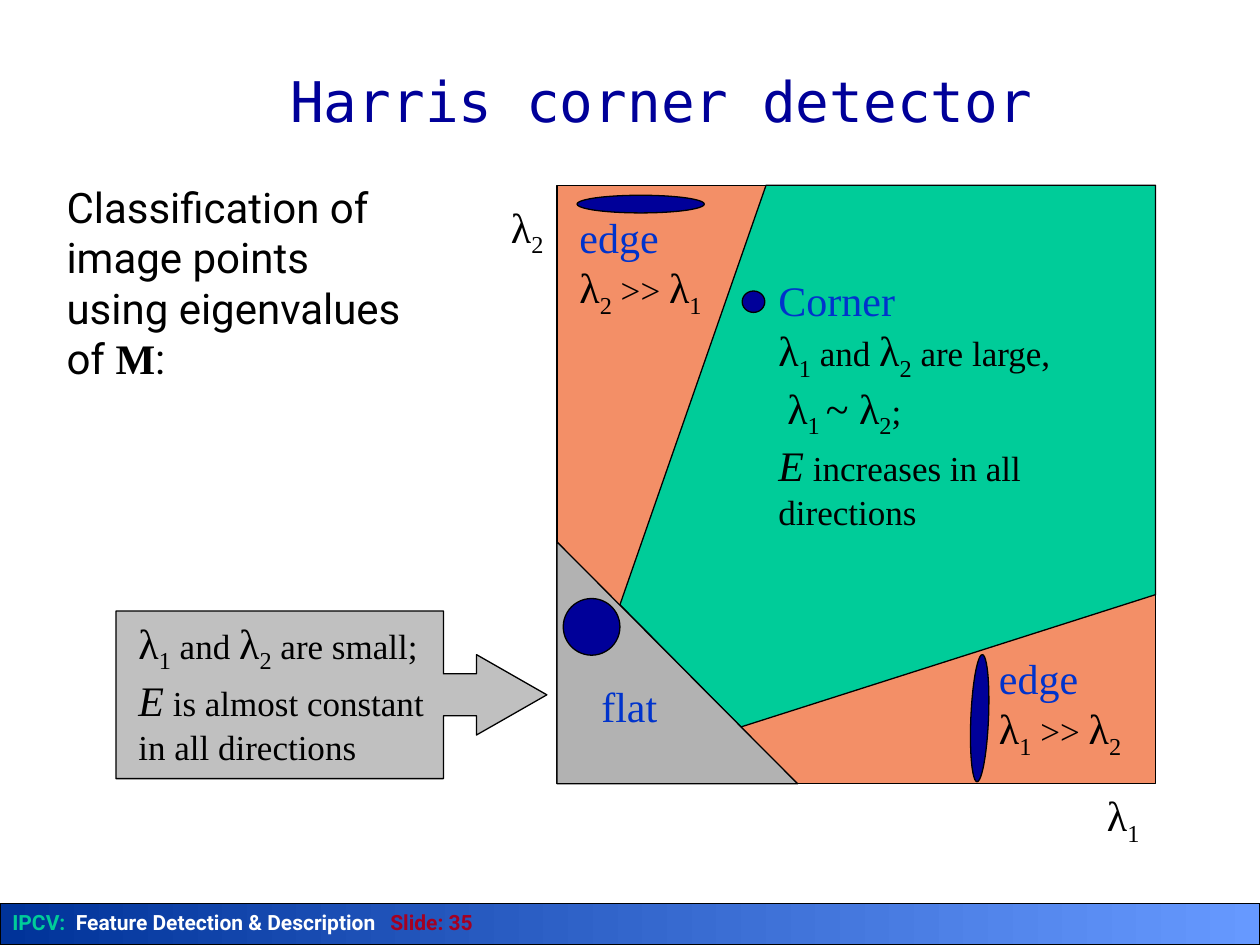
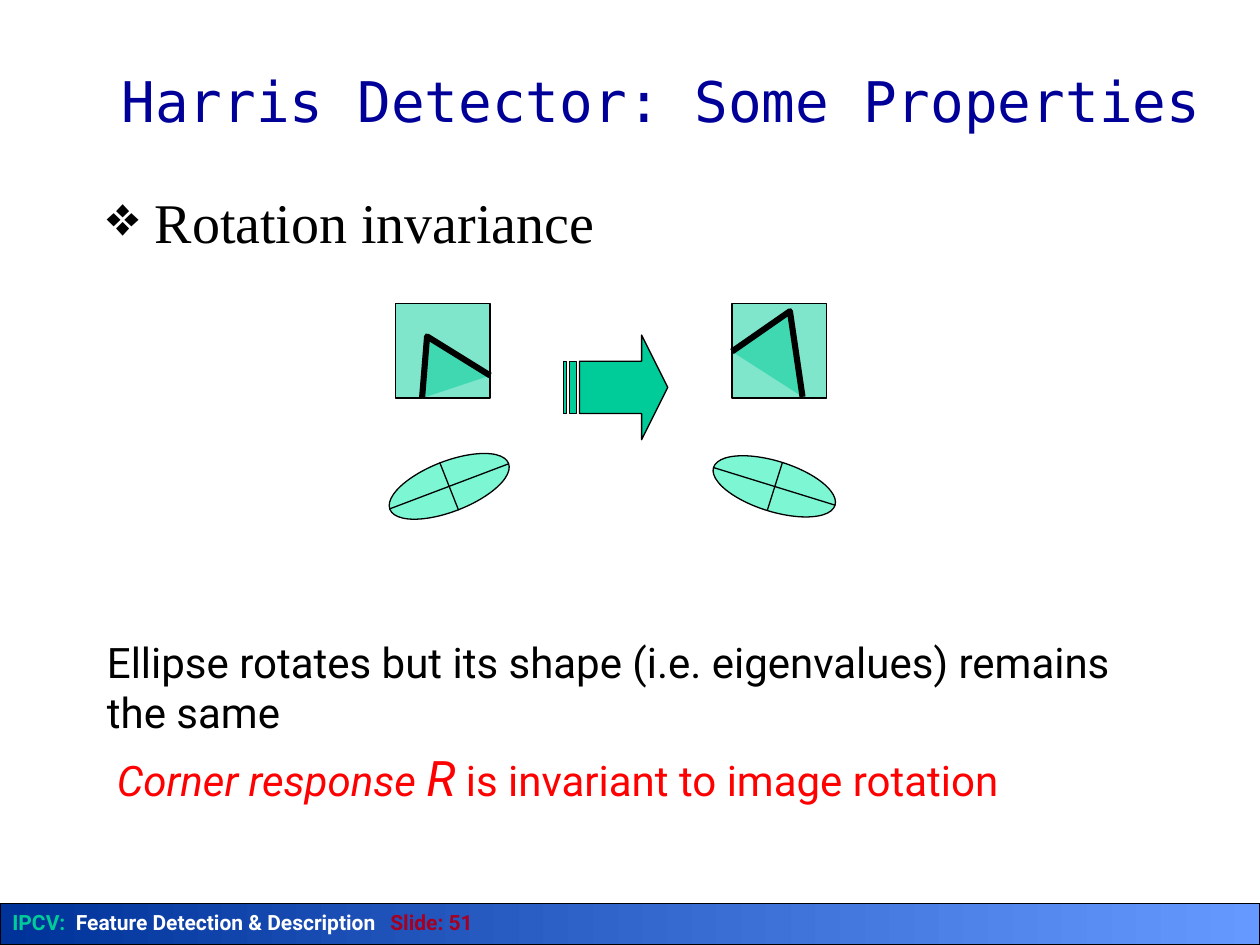
"""Build two slides on the Harris corner detector."""
from lxml.etree import SubElement
from pptx import Presentation
from pptx.dml.color import RGBColor
from pptx.enum.shapes import MSO_CONNECTOR, MSO_SHAPE
from pptx.enum.text import MSO_ANCHOR, PP_ALIGN
from pptx.oxml.ns import qn
from pptx.util import Inches, Pt

COLORS = {
    "black": "000000", "white": "FFFFFF", "navy": "000099", "blue": "0033CC",
    "green": "00CC99", "mint": "7CF6D3", "orange": "F38F67", "silver": "C0C0C0",
    "gray": "B2B2B2", "red": "FF0000", "dark red": "A50021",
    "band start": "003399", "band end": "6699FF",
}
SERIF, SANS, MONO = "Times New Roman", "Roboto", "DejaVu Sans Mono"
BREAK = ("\n", {})
SMALL = {"size": 20}
LAMBDA_1 = [("λ", {}), ("1", {"subscript": True})]
LAMBDA_2 = [("λ", {}), ("2", {"subscript": True})]


def write(shape, paragraphs, align=PP_ALIGN.LEFT, anchor=MSO_ANCHOR.TOP, **base):
    """Fill a shape with paragraphs of (text, format) runs."""
    frame = shape.text_frame
    frame.word_wrap = True
    frame.vertical_anchor = anchor
    for index, runs in enumerate(paragraphs):
        paragraph = frame.add_paragraph() if index else frame.paragraphs[0]
        paragraph.alignment = align
        for text, changes in runs:
            if text == "\n":
                paragraph.add_line_break()
                continue
            style = {"font": SERIF, "size": 24, "color": "black", **base, **changes}
            run = paragraph.add_run()
            run.text = text
            run.font.name = style["font"]
            run.font.size = Pt(style["size"])
            run.font.bold = style.get("bold", False)
            run.font.italic = style.get("italic", False)
            run.font.color.rgb = RGBColor.from_string(COLORS[style["color"]])
            if style.get("subscript"):
                run._r.get_or_add_rPr().set("baseline", "-25000")


def paint(shape, fill, width=0.75, alpha=None):
    """Give a shape a solid fill and a black outline."""
    shape.shadow.inherit = False
    shape.fill.solid()
    shape.fill.fore_color.rgb = RGBColor.from_string(COLORS[fill])
    shape.line.color.rgb = RGBColor.from_string(COLORS["black"])
    shape.line.width = Pt(width)
    if alpha:
        color = shape.fill._xPr.find(qn("a:solidFill")).find(qn("a:srgbClr"))
        SubElement(color, qn("a:alpha")).set("val", str(alpha * 1000))


presentation = Presentation()
presentation.slide_width = Inches(10)
presentation.slide_height = Inches(7.5)

slides = []
for title, number in [("Harris corner detector", 35), ("Harris Detector: Some Properties", 51)]:
    slide = presentation.slides.add_slide(presentation.slide_layouts[6])
    slides.append(slide)
    band = slide.shapes.add_shape(MSO_SHAPE.RECTANGLE, 0, Inches(7.17), Inches(10), Inches(0.33))
    paint(band, "band start")
    band.fill.gradient()
    band.fill.gradient_angle = 0
    for stop, position, color in zip(band.fill.gradient_stops, (0, 1), ("band start", "band end")):
        stop.position = position
        stop.color.rgb = RGBColor.from_string(COLORS[color])
    write(band, [[
        ("IPCV: ", {"color": "green"}),
        (" Feature Detection & Description\t", {"color": "white"}),
        (f"Slide: {number}", {"color": "dark red"}),
    ]], font=SANS, size=12, bold=True)
    title_box = slide.shapes.add_textbox(Inches(0.75), Inches(0.17), Inches(9), Inches(1.25))
    write(title_box, [[(title, {})]], align=PP_ALIGN.CENTER, anchor=MSO_ANCHOR.MIDDLE,
          font=MONO, size=32, color="navy")

classification, rotation = slides

callout = classification.shapes.add_shape(
    MSO_SHAPE.RIGHT_ARROW_CALLOUT, Inches(0.92), Inches(4.85), Inches(3.42), Inches(1.33))
for index, value in enumerate((0.25, 0.24, 0.42, 0.76)):
    callout.adjustments[index] = value
paint(callout, "silver")

edge_area = classification.shapes.add_shape(
    MSO_SHAPE.RECTANGLE, Inches(4.42), Inches(1.47), Inches(4.75), Inches(4.75))
paint(edge_area, "orange")

corner_outline = [(Inches(x), Inches(y)) for x, y in
                  [(4.92, 4.8), (6.08, 1.47), (9.17, 1.47), (9.17, 4.72), (5.88, 5.77)]]
builder = classification.shapes.build_freeform(*corner_outline[0], scale=1.0)
builder.add_line_segments(corner_outline[1:], close=True)
paint(builder.convert_to_shape(), "green")

flat_area = classification.shapes.add_shape(
    MSO_SHAPE.RIGHT_TRIANGLE, Inches(4.42), Inches(4.3), Inches(1.91), Inches(1.92))
paint(flat_area, "gray")

edge = [("edge", {"color": "blue"}), BREAK]
much_larger = [(" >> ", SMALL)]
both = [*LAMBDA_1, (" and ", SMALL), *LAMBDA_2]
energy = ("E", {"italic": True})
labels = [
    ((8.5, 6.22, 0.83, 0.5), PP_ALIGN.CENTER, [LAMBDA_1]),
    ((3.6, 1.55, 1.17, 0.5), PP_ALIGN.CENTER, [LAMBDA_2]),
    ((6.08, 2.13, 2.92, 2.03), PP_ALIGN.LEFT, [
        [("Corner", {"color": "blue"})],
        [*both, (" are large,", SMALL), BREAK,
         (" ", SMALL), ("λ", {}), ("1 ", {"subscript": True}), ("~ ", {}), *LAMBDA_2,
         (";", SMALL), BREAK, energy, (" increases in all directions", SMALL)],
    ]),
    ((1, 4.85, 2.58, 1.23), PP_ALIGN.LEFT, [
        [*both, (" are small;", SMALL), BREAK,
         energy, (" is almost constant in all directions", SMALL)],
    ]),
    ((7.83, 5.13, 1.42, 0.9), PP_ALIGN.LEFT, [edge + LAMBDA_1 + much_larger + LAMBDA_2]),
    ((4.5, 1.63, 1.42, 0.9), PP_ALIGN.LEFT, [edge + LAMBDA_2 + much_larger + LAMBDA_1]),
    ((4.33, 5.35, 1.33, 0.5), PP_ALIGN.CENTER, [[("flat", {"color": "blue"})]]),
    ((0.43, 1.39, 2.92, 1.7), PP_ALIGN.LEFT, [
        [("Classification of image points using eigenvalues of ", {"font": SANS}),
         ("M", {"bold": True}), (":", {"font": SANS})],
    ]),
]
for box, align, paragraphs in labels:
    write(classification.shapes.add_textbox(*map(Inches, box)), paragraphs, align=align)

for box, angle in [((5.89, 2.31, 0.18, 0.17), 0), ((4.58, 1.55, 1.01, 0.14), 0),
                   ((4.47, 4.75, 0.45, 0.45), 0), ((7.27, 5.63, 1.01, 0.14), 92.4)]:
    eigen_ellipse = classification.shapes.add_shape(MSO_SHAPE.OVAL, *map(Inches, box))
    eigen_ellipse.rotation = angle
    paint(eigen_ellipse, "navy")

bullet_box = rotation.shapes.add_textbox(Inches(0.75), Inches(1.5), Inches(9), Inches(0.72))
bullet = bullet_box.text_frame.paragraphs[0]
bullet.line_spacing = 0.9
properties = bullet._p.get_or_add_pPr()
properties.set("marL", str(Inches(0.38)))
properties.set("indent", str(-Inches(0.38)))
SubElement(properties, qn("a:buChar")).set("char", "❖")
write(bullet_box, [[("Rotation invariance", {})]], size=32)

for left, corner in [(3.14, [(3.35, 3.16), (3.39, 2.67), (3.89, 2.98)]),
                     (5.81, [(5.81, 2.79), (6.27, 2.47), (6.37, 3.15)])]:
    window = rotation.shapes.add_shape(
        MSO_SHAPE.RECTANGLE, Inches(left), Inches(2.41), Inches(0.75), Inches(0.75))
    paint(window, "green", alpha=50)
    points = [(Inches(x), Inches(y)) for x, y in corner]
    builder = rotation.shapes.build_freeform(*points[0], scale=1.0)
    builder.add_line_segments(points[1:], close=False)
    paint(builder.convert_to_shape(), "green", width=3.5, alpha=50)

arrow = rotation.shapes.add_shape(
    MSO_SHAPE.STRIPED_RIGHT_ARROW, Inches(4.47), Inches(2.66), Inches(0.83), Inches(0.83))
arrow.adjustments[0] = 0.5
arrow.adjustments[1] = 0.25
paint(arrow, "green")

for left, angle, axes in [
    (3.06, 338.8, [(3.09, 4.04, 4.04, 3.68), (3.49, 3.67, 3.64, 4.05)]),
    (5.64, 17.3, [(5.66, 3.71, 6.63, 4.01), (6.21, 3.67, 6.09, 4.05)]),
]:
    ellipse = rotation.shapes.add_shape(
        MSO_SHAPE.OVAL, Inches(left), Inches(3.66), Inches(1.01), Inches(0.4))
    ellipse.rotation = angle
    paint(ellipse, "mint")
    for ends in axes:
        axis = rotation.shapes.add_connector(MSO_CONNECTOR.STRAIGHT, *map(Inches, ends))
        axis.line.color.rgb = RGBColor.from_string(COLORS["black"])
        axis.line.width = Pt(0.75)
        SubElement(axis._element.spPr, qn("a:effectLst"))

shape_note = rotation.shapes.add_textbox(Inches(0.75), Inches(5), Inches(8.58), Inches(0.9))
write(shape_note, [[("Ellipse rotates but its shape (i.e. eigenvalues) remains the same", {})]],
      font=SANS)
response_note = rotation.shapes.add_textbox(Inches(0.83), Inches(5.88), Inches(8.43), Inches(0.57))
write(response_note, [[
    ("Corner response ", {"italic": True}),
    ("R", {"italic": True, "size": 28}),
    (" is invariant to image rotation", {}),
]], font=SANS, color="red")

presentation.save("out.pptx")
